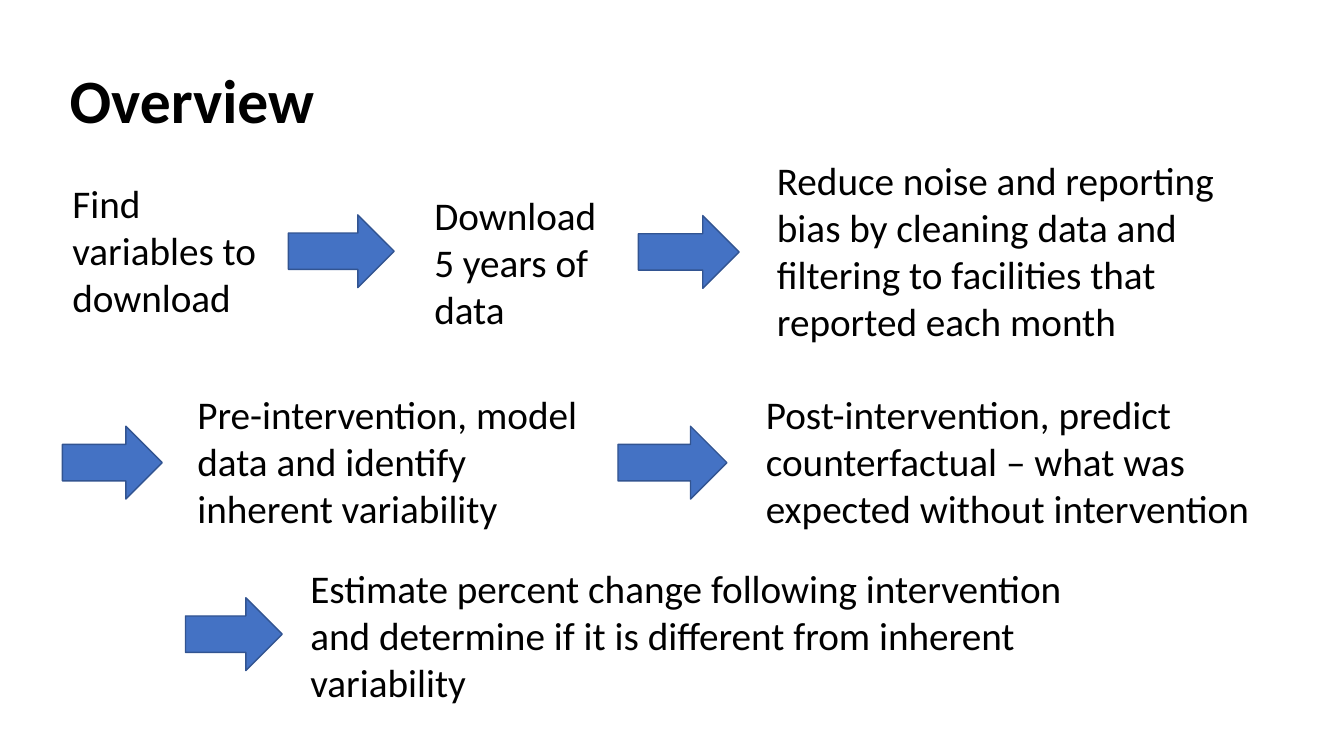
from pptx import Presentation
from pptx.dml.color import RGBColor
from pptx.enum.shapes import MSO_SHAPE
from pptx.enum.text import MSO_ANCHOR, MSO_AUTO_SIZE, PP_ALIGN
from pptx.util import Pt

ARROW_HEIGHT = 52


def color(value):
    return RGBColor.from_string(value)


def write(box, text, size, bold=False):
    """Fill a box with one left-aligned paragraph and return that paragraph."""
    box.text_frame.word_wrap = True
    para = box.text_frame.paragraphs[0]
    para.alignment = PP_ALIGN.LEFT
    span = para.add_run()
    span.text = text
    span.font.name = "Calibri"
    span.font.size = Pt(size)
    span.font.bold = bold
    span.font.color.rgb = color("000000")
    return para


deck = Presentation()
deck.slide_width, deck.slide_height = Pt(960), Pt(540)
page = deck.slides.add_slide(deck.slide_layouts[5])

title = page.shapes.title
title.left, title.top, title.width, title.height = Pt(42.5), Pt(21.6), Pt(828), Pt(104.4)
title.text_frame.auto_size = MSO_AUTO_SIZE.NONE
title.text_frame.vertical_anchor = MSO_ANCHOR.MIDDLE
write(title, "Overview", 44, bold=True).line_spacing = 0.9

# Steps in reading order: left, top, width, height, text
steps = [
    (44.6, 124.6, 158.4, 108.7, "Find variables to download"),
    (303.1, 133.2, 137.5, 108.7, "Download 5 years of data"),
    (547.9, 108, 372.2, 143.3,
     "Reduce noise and reporting bias by cleaning data and filtering to "
     "facilities that reported each month"),
    (133.9, 275, 296.6, 108.7,
     "Pre-intervention, model data and identify inherent variability"),
    (540, 275, 362.9, 108.7,
     "Post-intervention, predict counterfactual – what was expected without intervention"),
    (214.6, 399.6, 573.1, 108.7,
     "Estimate percent change following intervention and determine if it is "
     "different from inherent variability"),
]
for left, top, width, height, text in steps:
    box = page.shapes.add_textbox(Pt(left), Pt(top), Pt(width), Pt(height))
    write(box, text, 28)
    box.text_frame.auto_size = MSO_AUTO_SIZE.SHAPE_TO_FIT_TEXT

# Arrows leading into each later step: left, top, width
arrows = [
    (206, 153.5, 75.6),
    (456, 154, 72),
    (44.6, 304.5, 71.3),
    (441.4, 304.5, 77.8),
    (132.5, 427, 69.1),
]
for left, top, width in arrows:
    arrow = page.shapes.add_shape(
        MSO_SHAPE.RIGHT_ARROW, Pt(left), Pt(top), Pt(width), Pt(ARROW_HEIGHT))
    arrow.shadow.inherit = False
    arrow.fill.solid()
    arrow.fill.fore_color.rgb = color("4472C4")
    arrow.line.color.rgb = color("325491")
    arrow.line.width = Pt(1)

deck.save("out.pptx")
